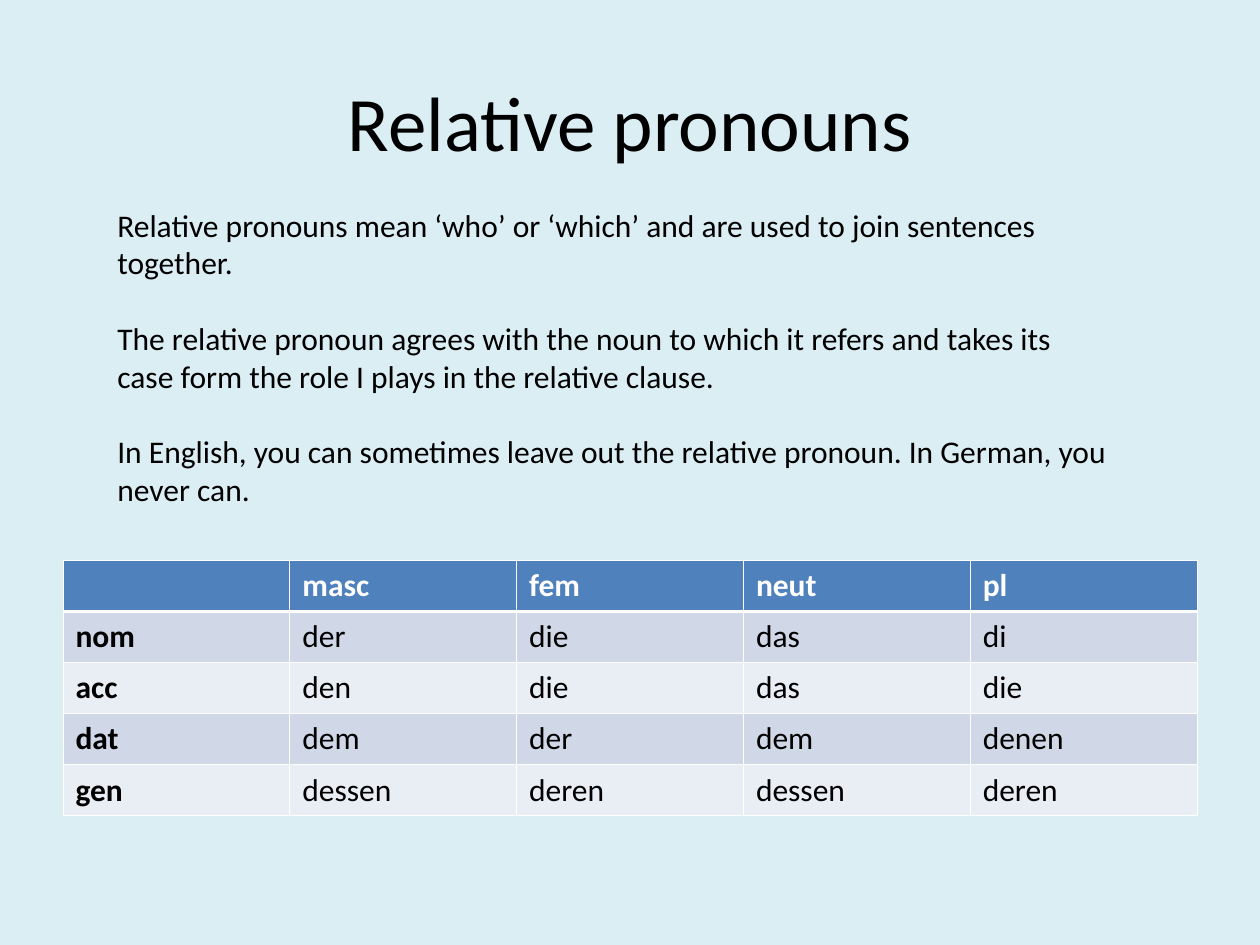
from lxml.etree import SubElement
from pptx import Presentation
from pptx.dml.color import RGBColor
from pptx.enum.text import MSO_ANCHOR as Anchor, PP_ALIGN as Align
from pptx.oxml.ns import qn
from pptx.util import Pt

TITLE = "Relative pronouns"
RULES = [
    "Relative pronouns mean ‘who’ or ‘which’ and are used to join sentences together.",
    "The relative pronoun agrees with the noun to which it refers and takes its "
    "case form the role I plays in the relative clause.",
    "In English, you can sometimes leave out the relative pronoun. In German, you never can.",
]
PRONOUNS = [
    ["", "masc", "fem", "neut", "pl"],
    ["nom", "der", "die", "das", "di"],
    ["acc", "den", "die", "das", "die"],
    ["dat", "dem", "der", "dem", "denen"],
    ["gen", "dessen", "deren", "dessen", "deren"],
]
FONT = "Calibri"
BACKGROUND, BLACK, WHITE = "DBEEF4", "000000", "FFFFFF"
HEADER, BANDS = "4F81BD", ("E9EDF4", "D0D8E8")
COLUMN_WIDTH, ROW_HEIGHT = 129.6, 29.2
THIN, THICK = 0.45, 1.47


def color(value):
    return RGBColor.from_string(value)


def add_span(para, text, size=18, shade=BLACK, bold=False):
    span = para.add_run()
    span.text = text
    span.font.name = FONT
    span.font.size = Pt(size)
    span.font.bold = bold
    span.font.color.rgb = color(shade)


def add_box(page, left, top, width, height, anchor):
    box = page.shapes.add_textbox(Pt(left), Pt(top), Pt(width), Pt(height))
    box.text_frame.word_wrap = True
    box.text_frame.vertical_anchor = anchor
    return box.text_frame


def add_borders(cell, row):
    widths = {
        "a:lnL": THIN,
        "a:lnR": THIN,
        "a:lnT": THICK if row == 1 else THIN,
        "a:lnB": THICK if row == 0 else THIN,
    }
    properties = cell._tc.get_or_add_tcPr()
    for tag, width in widths.items():
        line = SubElement(properties, qn(tag), w=str(int(Pt(width))))
        fill = SubElement(line, qn("a:solidFill"))
        SubElement(fill, qn("a:srgbClr"), val=WHITE)


def add_pronoun_table(page):
    rows, columns = len(PRONOUNS), len(PRONOUNS[0])
    table = page.shapes.add_table(
        rows, columns, Pt(36), Pt(320.2),
        Pt(columns * COLUMN_WIDTH), Pt(rows * ROW_HEIGHT),
    ).table
    table.first_col = True
    for column in table.columns:
        column.width = Pt(COLUMN_WIDTH)
    for row, words in enumerate(PRONOUNS):
        table.rows[row].height = Pt(ROW_HEIGHT)
        for column, word in enumerate(words):
            cell = table.cell(row, column)
            add_borders(cell, row)
            cell.fill.solid()
            cell.fill.fore_color.rgb = color(BANDS[row % 2] if row else HEADER)
            if word:
                add_span(cell.text_frame.paragraphs[0], word,
                         shade=BLACK if row else WHITE,
                         bold=row == 0 or column == 0)


def main():
    deck = Presentation()
    deck.slide_width, deck.slide_height = Pt(720), Pt(540)
    page = deck.slides.add_slide(deck.slide_layouts[6])
    page.background.fill.solid()
    page.background.fill.fore_color.rgb = color(BACKGROUND)

    title = add_box(page, 36, 24, 648, 90, Anchor.MIDDLE).paragraphs[0]
    title.alignment = Align.CENTER
    add_span(title, TITLE, size=44)

    add_pronoun_table(page)

    frame = add_box(page, 60, 114, 582, 180, Anchor.TOP)
    for number, rule in enumerate(RULES):
        para = frame.add_paragraph() if number else frame.paragraphs[0]
        if number:
            para.space_before = Pt(21.6)
        add_span(para, rule)

    deck.save("out.pptx")


if __name__ == "__main__":
    main()
